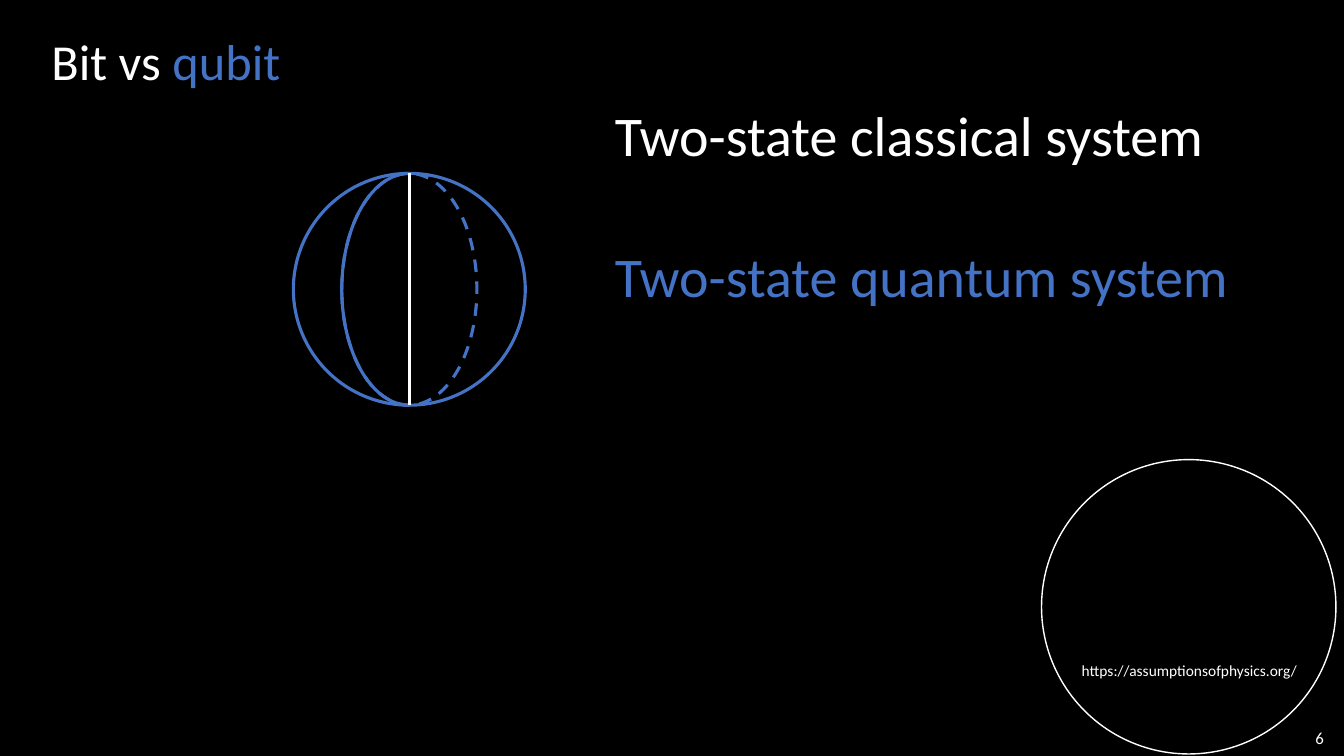
from lxml import etree
from pptx import Presentation
from pptx.dml.color import RGBColor
from pptx.enum.dml import MSO_LINE
from pptx.enum.shapes import MSO_CONNECTOR, MSO_SHAPE
from pptx.enum.text import MSO_ANCHOR, PP_ALIGN
from pptx.oxml.ns import qn
from pptx.util import Inches, Pt

OVAL, ARC, STRAIGHT = MSO_SHAPE.OVAL, MSO_SHAPE.ARC, MSO_CONNECTOR.STRAIGHT
TOP, MIDDLE = MSO_ANCHOR.TOP, MSO_ANCHOR.MIDDLE
LEFT, RIGHT = PP_ALIGN.LEFT, PP_ALIGN.RIGHT
DASH = MSO_LINE.DASH

COLOURS = {"background": "000000", "classical": "FFFFFF", "quantum": "4472C4"}
FONT = "Calibri"

TITLE = [("Bit vs ", "classical"), ("qubit", "quantum")]
STATEMENTS = [
    [("Two-state classical system", "classical")],
    [("Two-state quantum system", "quantum")],
]
SITE = [("https://assumptionsofphysics.org/", "classical")]
PAGE_NUMBER = [("6", "classical")]

# Lengths in inches
SPHERE_X, SPHERE_Y = 4.06, 2.87
SPHERE_SIZE, MERIDIAN_WIDTH = 2.3, 1.34
BADGE_X, BADGE_Y, BADGE_SIZE = 11.79, 6.02, 2.92
STATEMENT_TOP, STATEMENT_STEP = 0.95, 1.4
# Arc angles in 60000ths of a degree, scaled by 100000
QUARTER_TURN = 54


def colour(name):
    return RGBColor.from_string(COLOURS[name])


def write(box, spans, size, align=LEFT, anchor=TOP, wrap=False):
    frame = box.text_frame
    frame.word_wrap = wrap
    frame.vertical_anchor = anchor
    para = frame.paragraphs[0]
    para.alignment = align
    for text, colour_name in spans:
        span = para.add_run()
        span.text = text
        span.font.name = FONT
        span.font.size = Pt(size)
        span.font.color.rgb = colour(colour_name)


def add_text(page, place, spans, size, **options):
    box = page.shapes.add_textbox(*map(Inches, place))
    write(box, spans, size, **options)


def add_outline(shapes, kind, centre, size, colour_name, weight):
    """Add an unfilled shape around a centre point."""
    (x, y), (width, height) = centre, size
    place = (x - width / 2, y - height / 2, width, height)
    shape = shapes.add_shape(kind, *map(Inches, place))
    shape.shadow.inherit = False
    shape.fill.background()
    shape.line.color.rgb = colour(colour_name)
    shape.line.width = Pt(weight)
    return shape


def add_sphere(page):
    centre = (SPHERE_X, SPHERE_Y)
    meridian = (MERIDIAN_WIDTH, SPHERE_SIZE)
    sphere = page.shapes.add_group_shape().shapes

    back = add_outline(sphere, OVAL, centre, meridian, "quantum", 2.25)
    back.line.dash_style = DASH
    add_outline(sphere, OVAL, centre, (SPHERE_SIZE, SPHERE_SIZE), "quantum", 2.25)
    front = add_outline(sphere, ARC, centre, meridian, "quantum", 2.25)
    front.adjustments[0] = QUARTER_TURN
    front.adjustments[1] = 3 * QUARTER_TURN


def add_axis(page):
    top, bottom = SPHERE_Y - SPHERE_SIZE / 2, SPHERE_Y + SPHERE_SIZE / 2
    ends = (SPHERE_X, top, SPHERE_X, bottom)
    axis = page.shapes.add_connector(STRAIGHT, *map(Inches, ends))
    axis.line.color.rgb = colour("classical")
    axis.line.width = Pt(2.25)
    properties = axis._element.find(qn("p:spPr"))
    etree.SubElement(properties, qn("a:effectLst"))


def main():
    deck = Presentation()
    deck.slide_width, deck.slide_height = Inches(13.33), Inches(7.5)
    page = deck.slides.add_slide(deck.slide_layouts[5])
    page.background.fill.solid()
    page.background.fill.fore_color.rgb = colour("background")

    add_outline(page.shapes, OVAL, (BADGE_X, BADGE_Y),
                (BADGE_SIZE, BADGE_SIZE), "classical", 1)
    add_text(page, (10.63, 6.51, 2.35, 0.29), SITE, 11)
    add_text(page, (12.62, 7.19, 0.61, 0.25), PAGE_NUMBER, 12,
             align=RIGHT, anchor=MIDDLE, wrap=True)

    title = page.shapes.title
    title.left, title.top = Inches(0.41), Inches(0.25)
    title.width, title.height = Inches(2.49), Inches(0.71)
    write(title, TITLE, 36)

    add_sphere(page)
    add_axis(page)
    for row, spans in enumerate(STATEMENTS):
        top = STATEMENT_TOP + row * STATEMENT_STEP
        add_text(page, (6, top, 6.34, 0.77), spans, 40)

    deck.save("out.pptx")


if __name__ == "__main__":
    main()
